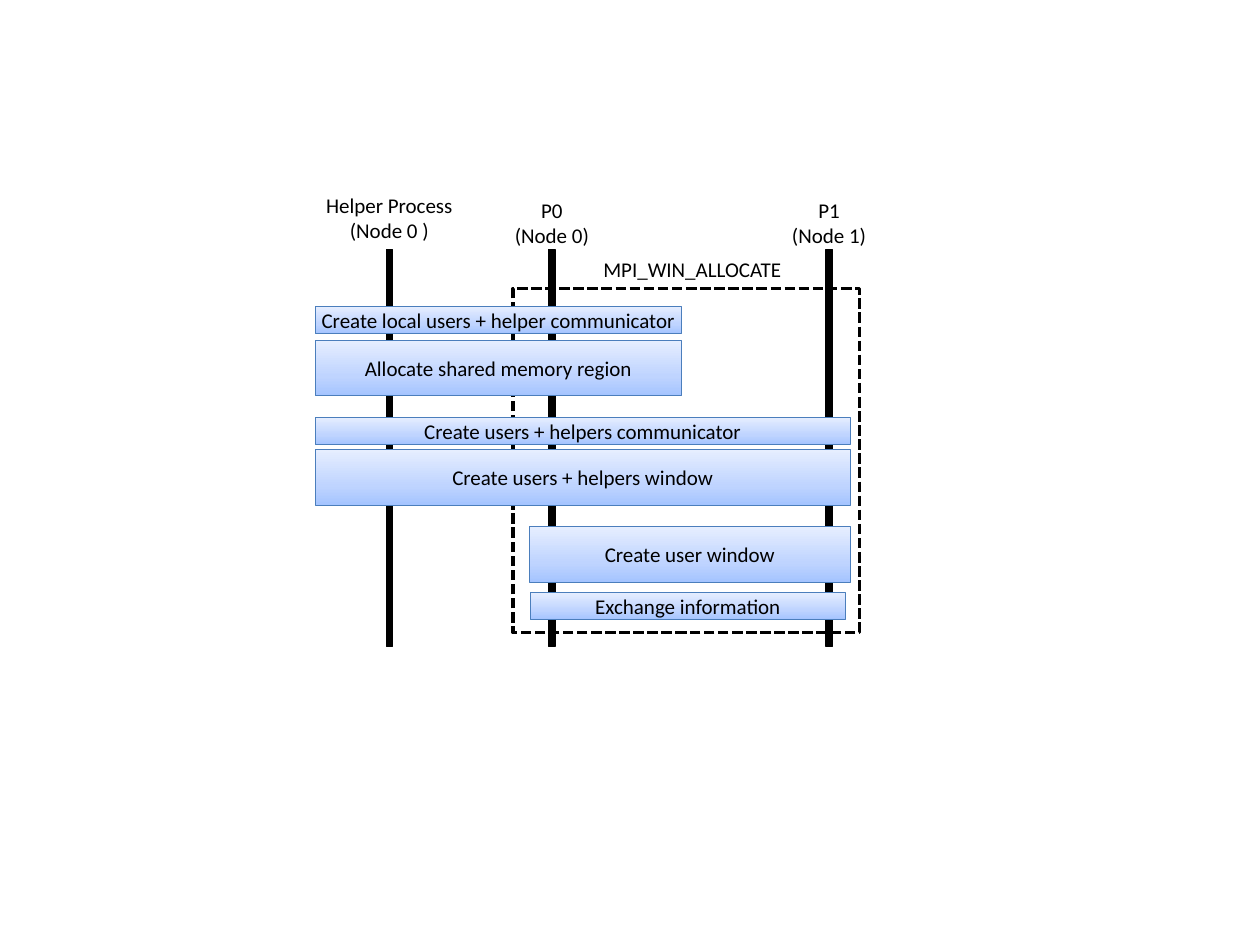
from copy import deepcopy

from pptx import Presentation
from pptx.dml.color import RGBColor
from pptx.enum.dml import MSO_LINE
from pptx.enum.shapes import MSO_SHAPE
from pptx.enum.text import MSO_ANCHOR, PP_ALIGN
from pptx.oxml.ns import qn
from pptx.util import Inches, Pt

# Lifelines: label lines, centre x, label top, label width
PROCESSES = [
    (["Helper Process", "(Node 0 )"], 3.09, 1.48, 1.87),
    (["P0", "(Node 0)"], 4.38, 1.52, 1.08),
    (["P1", "(Node 1)"], 6.58, 1.52, 1.08),
]
LIFELINE_TOP, LIFELINE_WIDTH, LIFELINE_HEIGHT = 1.98, 0.05, 3.15

CALL_NAME = "MPI_WIN_ALLOCATE"
CALL_LABEL = (4.43, 1.99, 2.13, 0.3)
CALL_FRAME = (4.07, 2.29, 2.75, 2.73)

# Steps: text, left, right, top, height in rows, side inset
ROW = 0.22
STEPS = [
    ("Create local users + helper communicator", 2.5, 5.41, 2.43, 1, 0.04),
    ("Allocate shared memory region", 2.5, 5.41, 2.7, 2, 0.1),
    ("Create users + helpers communicator", 2.5, 6.75, 3.31, 1, 0.1),
    ("Create users + helpers window", 2.5, 6.75, 3.57, 2, 0.1),
    ("Create user window", 4.2, 6.75, 4.18, 2, 0.1),
    ("Exchange information", 4.21, 6.71, 4.7, 1, 0.1),
]

BLACK, STEP_EDGE = "000000", "4B7EBC"
STEP_GRADIENT = [(0, "A4C4FF"), (0.35, "BFD4FF"), (1, "E6EEFF")]
FONT = {"name": "Calibri", "size": Pt(12)}


def rgb(value):
    return RGBColor.from_string(value)


def write(shape, lines, anchor, side=0.1):
    frame = shape.text_frame
    layout = {
        "word_wrap": True, "vertical_anchor": anchor,
        "margin_left": Inches(side), "margin_right": Inches(side),
        "margin_top": Inches(0.05), "margin_bottom": Inches(0.05),
    }
    for key, value in layout.items():
        setattr(frame, key, value)
    frame.text = "\n".join(lines)
    for paragraph in frame.paragraphs:
        paragraph.alignment = PP_ALIGN.CENTER
        for key, value in FONT.items():
            setattr(paragraph.font, key, value)
        paragraph.font.color.rgb = rgb(BLACK)


def add_label(slide, lines, box):
    label = slide.shapes.add_textbox(*map(Inches, box))
    write(label, lines, MSO_ANCHOR.TOP)


def add_box(slide, box, edge, weight):
    shape = slide.shapes.add_shape(MSO_SHAPE.RECTANGLE, *map(Inches, box))
    shape.shadow.inherit = False
    shape.line.color.rgb = rgb(edge)
    shape.line.width = Pt(weight)
    return shape


def fill_upward(shape, colours):
    """Fill with a gradient whose first colour is at the bottom."""
    shape.fill.gradient()
    shape.fill.gradient_angle = 90
    stop_list = shape._element.spPr.find(qn("a:gradFill")).find(qn("a:gsLst"))
    while len(stop_list) < len(colours):
        stop_list.append(deepcopy(stop_list[0]))
    for stop, (position, colour) in zip(shape.fill.gradient_stops, colours):
        stop.position = position
        stop.color.rgb = rgb(colour)


def main():
    deck = Presentation()
    deck.slide_width, deck.slide_height = Inches(10), Inches(7.5)
    slide = deck.slides.add_slide(deck.slide_layouts[6])

    for lines, centre, top, width in PROCESSES:
        add_label(slide, lines, (centre - width / 2, top, width, 0.5))
        lifeline = add_box(slide, (centre - LIFELINE_WIDTH / 2, LIFELINE_TOP,
                                   LIFELINE_WIDTH, LIFELINE_HEIGHT), BLACK, 0.75)
        lifeline.fill.solid()
        lifeline.fill.fore_color.rgb = rgb(BLACK)

    call_frame = add_box(slide, CALL_FRAME, BLACK, 2)
    call_frame.fill.background()
    call_frame.line.dash_style = MSO_LINE.SQUARE_DOT
    add_label(slide, [CALL_NAME], CALL_LABEL)

    for text, left, right, top, rows, side in STEPS:
        step = add_box(slide, (left, top, right - left, rows * ROW), STEP_EDGE, 0.5)
        fill_upward(step, STEP_GRADIENT)
        write(step, [text], MSO_ANCHOR.MIDDLE, side)

    deck.save("out.pptx")


if __name__ == "__main__":
    main()
